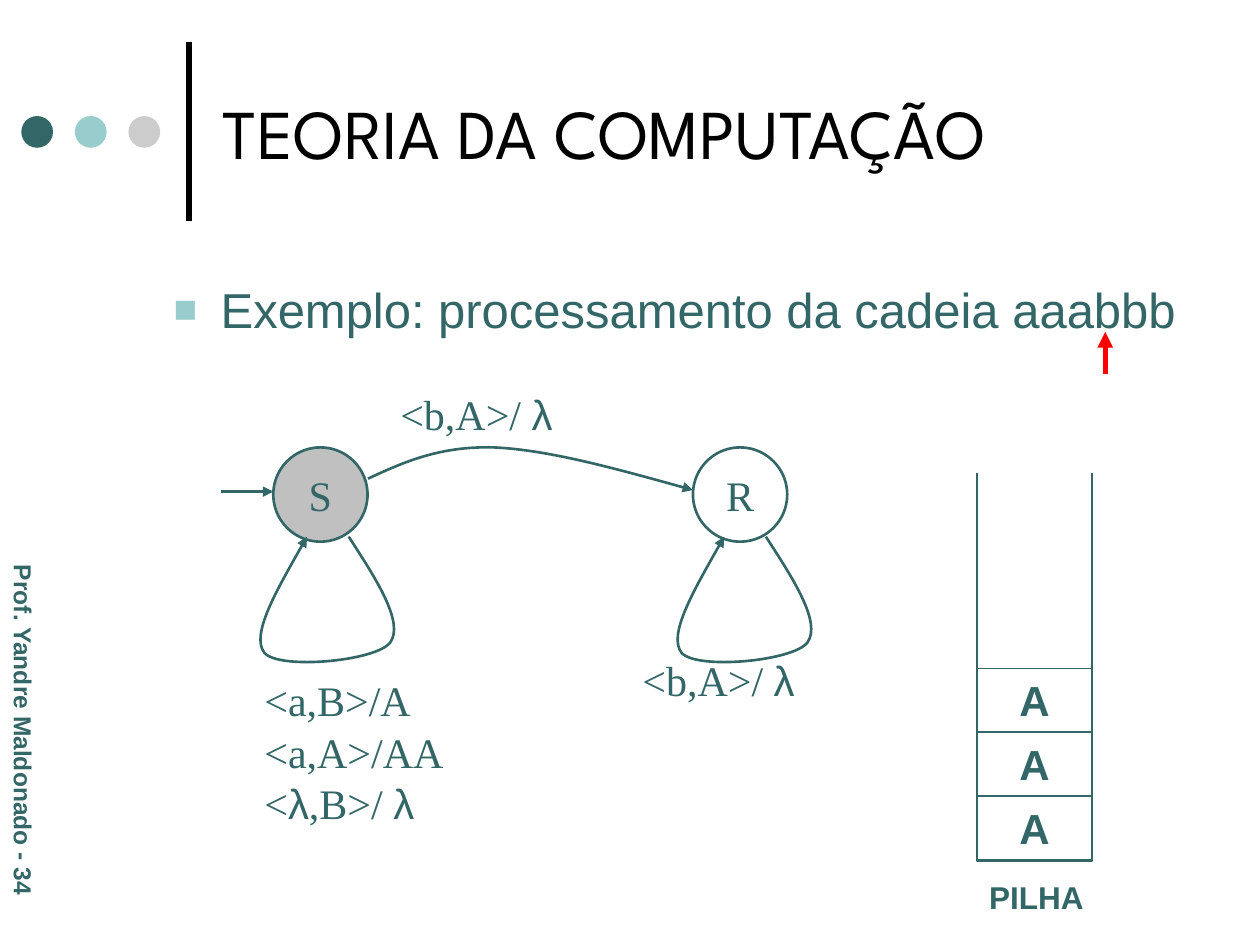
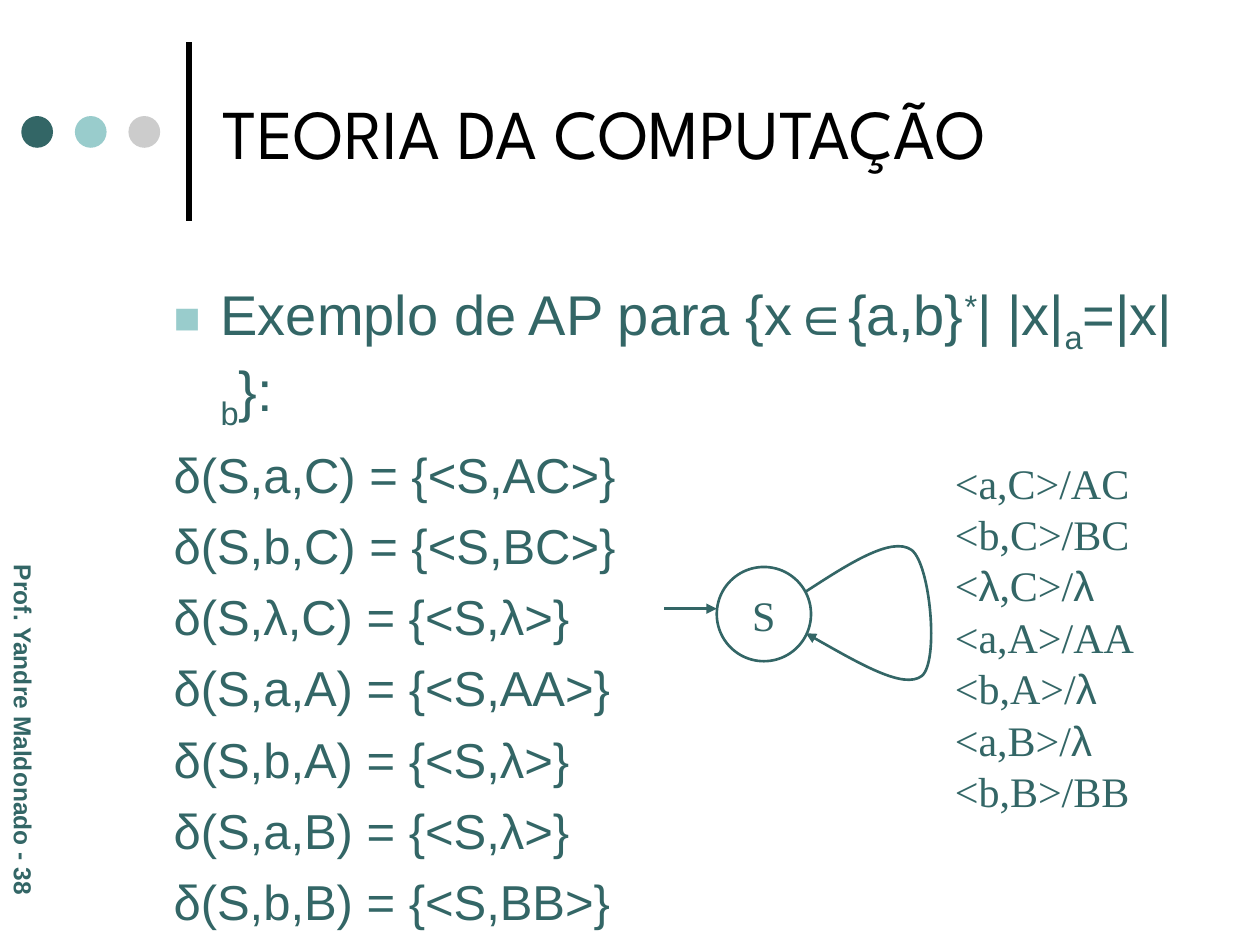
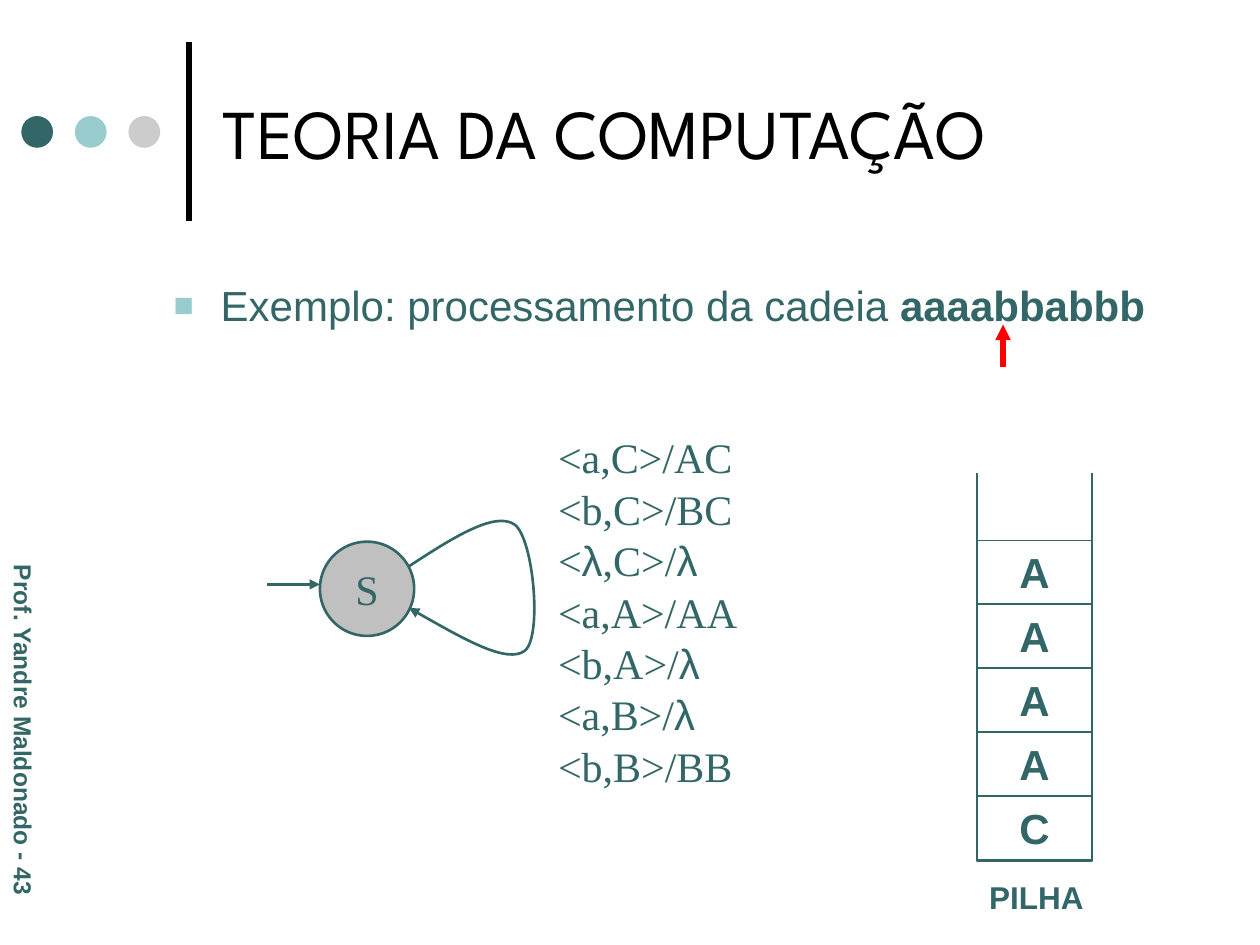
import itertools

import pptx
import pptx.dml.color
import pptx.enum.shapes
import pptx.enum.text
import pptx.oxml.ns
import pptx.oxml.xmlchemy
import pptx.util

Cm = pptx.util.Cm
Pt = pptx.util.Pt
SHAPE = pptx.enum.shapes.MSO_SHAPE
ALIGN = pptx.enum.text.PP_ALIGN
ANCHOR = pptx.enum.text.MSO_ANCHOR
qn = pptx.oxml.ns.qn
element = pptx.oxml.xmlchemy.OxmlElement

COLORS = {
    "teal": "336666",
    "aqua": "99CCCC",
    "silver": "CCCCCC",
    "active": "C0C0C0",
    "black": "000000",
    "red": "FF0000",
}
SANS, SERIF, DISPLAY = "Arial", "Times New Roman", "League Spartan"
STATE_SIZE = 1.9
LOOP = [(1.98, 0), (2.54, 0.86), (3.1, 1.73), (2.82, 2.13), (2.54, 2.51),
        (0.58, 2.69), (0.28, 2.34), (0, 1.98), (0.58, 0.99), (1.14, 0)]
STACK_LEFT, STACK_TOP, STACK_WIDTH, STACK_BOTTOM = 19.69, 9.53, 2.33, 17.35
CELL_HEIGHT, CELL_PITCH = 1.27, 1.29
COUNTER_LABELS = ["<a,C>/AC", "<b,C>/BC", "<λ,C>/λ", "<a,A>/AA",
                  "<b,A>/λ", "<a,B>/λ", "<b,B>/BB"]
TRANSITIONS = ["δ(S,a,C) = {<S,AC>}", "δ(S,b,C) = {<S,BC>}",
               "δ(S,λ,C) = {<S,λ>}", "δ(S,a,A) = {<S,AA>}",
               "δ(S,b,A) = {<S,λ>}", "δ(S,a,B) = {<S,λ>}",
               "δ(S,b,B) = {<S,BB>}"]


def rgb(name):
    return pptx.dml.color.RGBColor.from_string(COLORS[name])


def child(parent, tag, **attrs):
    e = element(tag)
    for key, value in attrs.items():
        e.set(key, str(value))
    parent.append(e)
    return e


def write(tf, text, size=24, font=SANS, color="teal", bold=False, align=None,
          before=0, spacing=None, indent=0, bullet=False):
    p = tf.paragraphs[0]
    if p.runs:
        p = tf.add_paragraph()
    p.alignment = align
    p.space_before = Pt(before)
    p.line_spacing = spacing
    pPr = p._p.get_or_add_pPr()
    if indent:
        pPr.set("marL", str(Cm(indent)))
        pPr.set("indent", str(-Cm(indent)))
    if bullet:
        child(child(pPr, "a:buClr"), "a:srgbClr", val=COLORS["aqua"])
        child(pPr, "a:buSzPct", val=80000)
        child(pPr, "a:buFont", typeface=SANS)
        child(pPr, "a:buChar", char="■")
    for part, change in [(text, {})] if isinstance(text, str) else text:
        r = p.add_run()
        r.text = part
        r.font.size = Pt(size)
        r.font.name = change.get("font", font)
        r.font.bold = change.get("bold", bold)
        r.font.color.rgb = rgb(color)
        if "baseline" in change:
            r._r.get_or_add_rPr().set("baseline", str(change["baseline"] * 1000))


def lambda_runs(label):
    return [("".join(chars), {"font": SANS if is_lambda else SERIF})
            for is_lambda, chars in itertools.groupby(label, lambda c: c == "λ")]


class Deck:
    def __init__(self):
        self.prs = pptx.Presentation()
        self.prs.slide_width, self.prs.slide_height = Cm(25.4), Cm(19.05)
        self.s = None

    def slide(self, number):
        self.s = self.prs.slides.add_slide(self.prs.slide_layouts[6])
        self.line(3.81, 4.45, 3.81, 0.84, color="black", width=3)
        for i, color in enumerate(["teal", "aqua", "silver"]):
            self.shape(SHAPE.OVAL, 0.43 + 1.08 * i, 2.34, 0.64, 0.64, fill=color)
        tf = self.box(4.24, 0.53, 19.48, 4.24).text_frame
        tf.vertical_anchor = ANCHOR.MIDDLE
        write(tf, "TEORIA DA COMPUTAÇÃO", size=40, font=DISPLAY, color="black")
        sp = self.box(-3.43, 14.61, 7.8, 0.86)
        sp.rotation = 90
        write(sp.text_frame, f"Prof. Yandre Maldonado - {number}", size=14, bold=True)

    def box(self, x, y, w, h, wrap=True):
        sp = self.s.shapes.add_textbox(Cm(x), Cm(y), Cm(w), Cm(h))
        sp.text_frame.word_wrap = wrap
        return sp

    def shape(self, kind, x, y, w, h, fill=None, width=None):
        sp = self.s.shapes.add_shape(kind, Cm(x), Cm(y), Cm(w), Cm(h))
        self.style(sp, fill, width)
        return sp

    def style(self, sp, fill=None, width=None):
        sp.shadow.inherit = False
        if fill:
            sp.fill.solid()
            sp.fill.fore_color.rgb = rgb(fill)
        else:
            sp.fill.background()
        if width:
            sp.line.color.rgb = rgb("teal")
            sp.line.width = Pt(width)
        else:
            sp.line.fill.background()

    def arrowhead(self, sp):
        child(sp.line._get_or_add_ln(), "a:tailEnd", type="triangle")

    def line(self, x1, y1, x2, y2, color="teal", width=1.5, arrow=False):
        sp = self.s.shapes.add_connector(
            pptx.enum.shapes.MSO_CONNECTOR.STRAIGHT, Cm(x1), Cm(y1), Cm(x2), Cm(y2))
        sp.line.color.rgb = rgb(color)
        sp.line.width = Pt(width)
        if arrow:
            self.arrowhead(sp)
        child(sp._element.spPr, "a:effectLst")

    def outline(self, points, width):
        start, *rest = [(Cm(x), Cm(y)) for x, y in points]
        fb = self.s.shapes.build_freeform(*start)
        fb.add_line_segments(rest, close=False)
        sp = fb.convert_to_shape()
        self.style(sp, width=width)
        return sp

    def curve(self, points, rotation=0):
        sp = self.outline(points, 1.5)
        segments = list(sp._element.iter(qn("a:lnTo")))
        for i in range(0, len(segments), 3):
            bezier = element("a:cubicBezTo")
            segments[i].addprevious(bezier)
            for segment in segments[i:i + 3]:
                bezier.append(segment[0])
                segment.getparent().remove(segment)
        self.arrowhead(sp)
        sp.rotation = rotation

    def loop(self, x, y, rotation=0):
        self.curve([(x + dx, y + dy) for dx, dy in LOOP], rotation)

    def state(self, name, x, y, active=False):
        self.shape(SHAPE.OVAL, x, y, STATE_SIZE, STATE_SIZE,
                   fill="active" if active else None, width=1.5)
        tf = self.box(x + 0.1, y + 0.32, 1.7, 1.27).text_frame
        write(tf, name, font=SERIF, align=ALIGN.CENTER, before=15)

    def entry(self, x, y):
        self.line(x - 1.06, y, x, y, arrow=True)

    def labels(self, x, y, h, lines):
        tf = self.box(x, y, 4.45, h).text_frame
        for label in lines:
            write(tf, lambda_runs(label), before=15, spacing=0.5)

    def body(self, text, size, before):
        tf = self.box(3.25, 5.51, 21.59, 11.43).text_frame
        write(tf, text, size=size, before=before, indent=0.95, bullet=True)
        return tf

    def pointer(self, x, y):
        self.line(x, y, x, y - 0.85, color="red", width=3, arrow=True)

    def stack(self, symbols):
        left, right = STACK_LEFT, STACK_LEFT + STACK_WIDTH
        self.outline([(left, STACK_TOP), (left, STACK_BOTTOM),
                      (right, STACK_BOTTOM), (right, STACK_TOP)], 1.25)
        tf = self.box(left, 17.58, 2.41, 1.02, wrap=False).text_frame
        write(tf, "PILHA", size=18, bold=True, align=ALIGN.CENTER)
        for i, symbol in enumerate(symbols, 1):
            sp = self.shape(SHAPE.RECTANGLE, left, STACK_BOTTOM - CELL_PITCH * i,
                            STACK_WIDTH, CELL_HEIGHT, width=0.75)
            write(sp.text_frame, symbol, bold=True, align=ALIGN.CENTER)

    def counter(self, x, y, entry_drop, active=False):
        self.state("S", x, y, active)
        self.loop(x + 1.59, y - 0.42, rotation=270)
        self.labels(x + 4.55, y - 1.9, 6.99, COUNTER_LABELS)
        self.entry(x, y + entry_drop)


def main():
    deck = Deck()

    deck.slide(34)
    deck.body("Exemplo: processamento da cadeia aaabbb", 28, 7)
    deck.pointer(22.28, 7.54)
    deck.state("S", 5.51, 9.02, active=True)
    deck.state("R", 13.97, 9.02)
    deck.curve([(7.42, 9.65), (8.13, 9.32), (8.86, 8.99), (9.96, 9.02),
                (11.05, 9.07), (12.5, 9.47), (13.97, 9.88)])
    deck.loop(5.05, 10.82)
    deck.loop(13.46, 10.82)
    deck.labels(5.08, 13.92, 2.84, ["<a,B>/A", "<a,A>/AA", "<λ,B>/ λ"])
    deck.labels(7.82, 8.15, 0.76, ["<b,A>/ λ"])
    deck.labels(12.7, 13.51, 0.76, ["<b,A>/ λ"])
    deck.entry(5.51, 9.91)
    deck.stack("AAA")

    deck.slide(38)
    tf = deck.body([("Exemplo de AP para {x∈{a,b}", {}), ("*", {"baseline": 30}),
                    ("| |x|", {}), ("a", {"baseline": -25}), ("=|x|", {}),
                    ("b", {"baseline": -25}), ("}:", {})], 32, 8)
    for transition in TRANSITIONS:
        write(tf, transition, size=28, before=7, indent=0.95)
    deck.counter(14.45, 11.43, 0.84)

    deck.slide(43)
    deck.body([("Exemplo: processamento da cadeia ", {}),
               ("aaaabbabbb", {"bold": True})], 24, 6)
    deck.pointer(20.22, 7.39)
    deck.counter(6.45, 10.92, 0.86, active=True)
    deck.stack("CAAAA")

    deck.prs.save("out.pptx")


if __name__ == "__main__":
    main()
